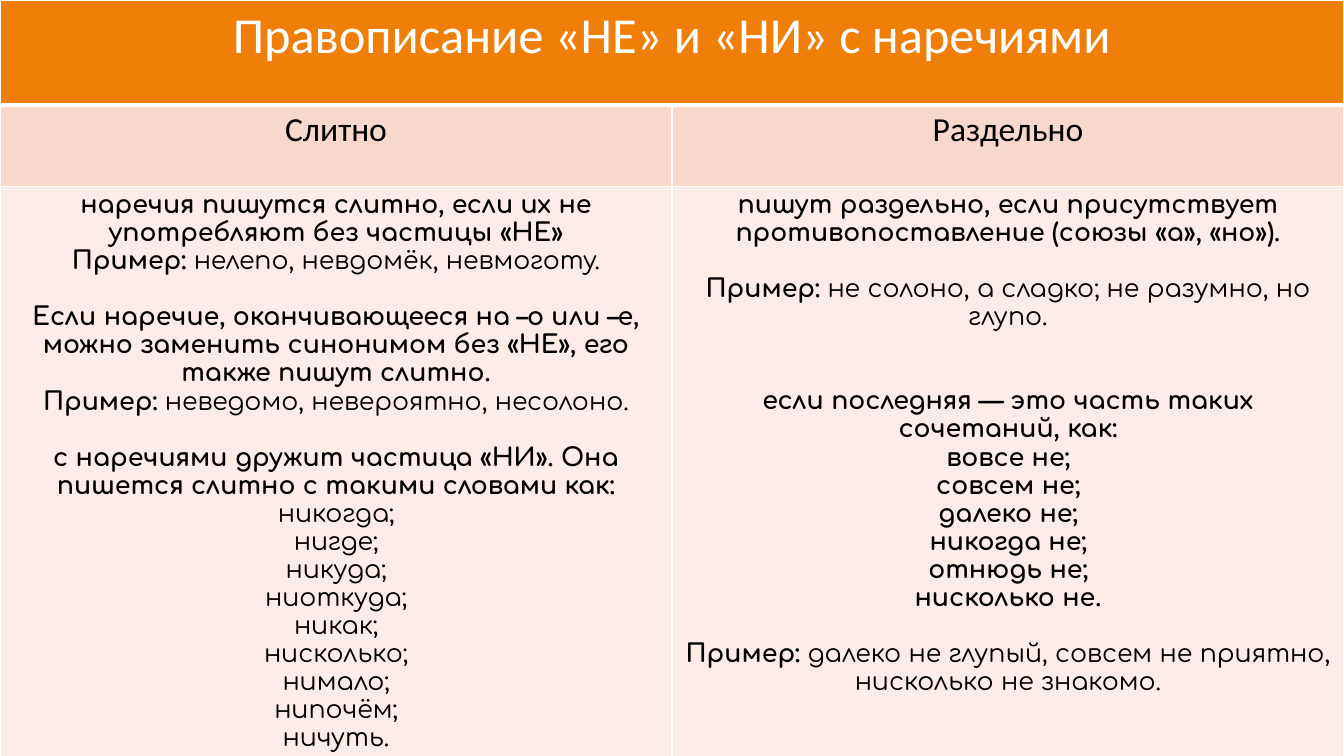
"""Build a slide with a table on spelling Russian adverbs with НЕ and НИ."""
from lxml import etree
from pptx import Presentation
from pptx.dml.color import RGBColor
from pptx.enum import text
from pptx.oxml import ns
from pptx.util import Inches, Pt

ORANGE = RGBColor(0xF0, 0x7F, 0x09)
PINK = RGBColor(0xF9, 0xD8, 0xCC)
PALE_PINK = RGBColor(0xFC, 0xEC, 0xE7)
WHITE = RGBColor(0xFF, 0xFF, 0xFF)
BLACK = RGBColor(0, 0, 0)

EXAMPLE = "Пример:\u00a0"
TITLE = "Правописание «НЕ» и «НИ» с наречиями"
HEADINGS = ["Слитно", "Раздельно"]
JOINED_WORDS = ["никогда;", "нигде;", "никуда;", "ниоткуда;", "никак;",
                "нисколько;", "нимало;", "нипочём;", "ничуть."]
SEPARATE_PHRASES = ["вовсе не;", "совсем не;", "далеко не;", "никогда не;",
                    "отнюдь не;", "нисколько не."]

# Each rule line: blank lines above, bold part, regular part.
JOINED = [
    (0, "наречия пишутся слитно, если их не употребляют без частицы «НЕ»", ""),
    (0, EXAMPLE, "нелепо, невдомёк, невмоготу."),
    (1, "Если наречие, оканчивающееся на –о или –е, можно заменить синонимом "
        "без «НЕ», его также пишут слитно.", ""),
    (0, EXAMPLE, "неведомо, невероятно, несолоно."),
    (1, "с наречиями дружит частица «НИ». Она пишется слитно с такими "
        "словами как:", ""),
    *[(0, "", word) for word in JOINED_WORDS],
]
SEPARATE = [
    (0, "пишут раздельно, если присутствует противопоставление "
        "(союзы «а», «но»).", ""),
    (1, EXAMPLE, "не солоно, а сладко; не разумно, но глупо."),
    (2, "если последняя — это часть таких сочетаний, как:", ""),
    *[(0, phrase, "") for phrase in SEPARATE_PHRASES],
    (1, EXAMPLE, "далеко не глупый, совсем не приятно, нисколько не знакомо."),
]
ROWS = [
    (1.04, ORANGE, WHITE, "Calibri", 36, [[(0, "", TITLE)], []]),
    (0.81, PINK, BLACK, "Calibri", 24, [[(0, "", h)] for h in HEADINGS]),
    (5.87, PALE_PINK, BLACK, "Comfortaa", 18, [JOINED, SEPARATE]),
]
WIDTH, HEIGHT = 13.33, 7.5
LINE_PITCH = Pt(20)


def set_borders(cell, widths):
    """Draw white borders of the given point widths, by side."""
    tc_pr = cell._tc.get_or_add_tcPr()
    for side, width in widths.items():
        line = etree.SubElement(tc_pr, ns.qn(f"a:ln{side}"), w=str(Pt(width)))
        fill = etree.SubElement(line, ns.qn("a:solidFill"))
        etree.SubElement(fill, ns.qn("a:srgbClr"), val=str(WHITE))


def write_lines(cell, lines, font, size, color):
    """Write centred lines with a bold and a regular part each."""
    tf = cell.text_frame
    for i, (gap, bold, regular) in enumerate(lines):
        p = tf.add_paragraph() if i else tf.paragraphs[0]
        p.alignment = text.PP_ALIGN.CENTER
        p.space_before = gap * LINE_PITCH
        p.font.name, p.font.size = font, Pt(size)
        p.font.color.rgb = color
        for part, is_bold in ((bold, True), (regular, False)):
            if part:
                r = p.add_run()
                r.text, r.font.bold = part, is_bold


prs = Presentation()
prs.slide_width, prs.slide_height = Inches(WIDTH), Inches(HEIGHT)
s = prs.slides.add_slide(prs.slide_layouts[6])
s.background.fill.solid()
s.background.fill.fore_color.rgb = BLACK

table_height = sum(row[0] for row in ROWS)
table = s.shapes.add_table(len(ROWS), len(HEADINGS), 0, 0,
                           Inches(WIDTH), Inches(table_height)).table
for column in table.columns:
    column.width = Inches(WIDTH / len(HEADINGS))
for i, (height, fill, color, font, size, cells) in enumerate(ROWS):
    table.rows[i].height = Inches(height)
    for j, lines in enumerate(cells):
        cell = table.cell(i, j)
        set_borders(cell, {"L": 1, "R": 1, "T": 3 if i == 1 else 1,
                           "B": 3 if i == 0 else 1})
        cell.fill.solid()
        cell.fill.fore_color.rgb = fill
        write_lines(cell, lines, font, size, color)
table.cell(0, 0).merge(table.cell(0, 1))

prs.save("out.pptx")
